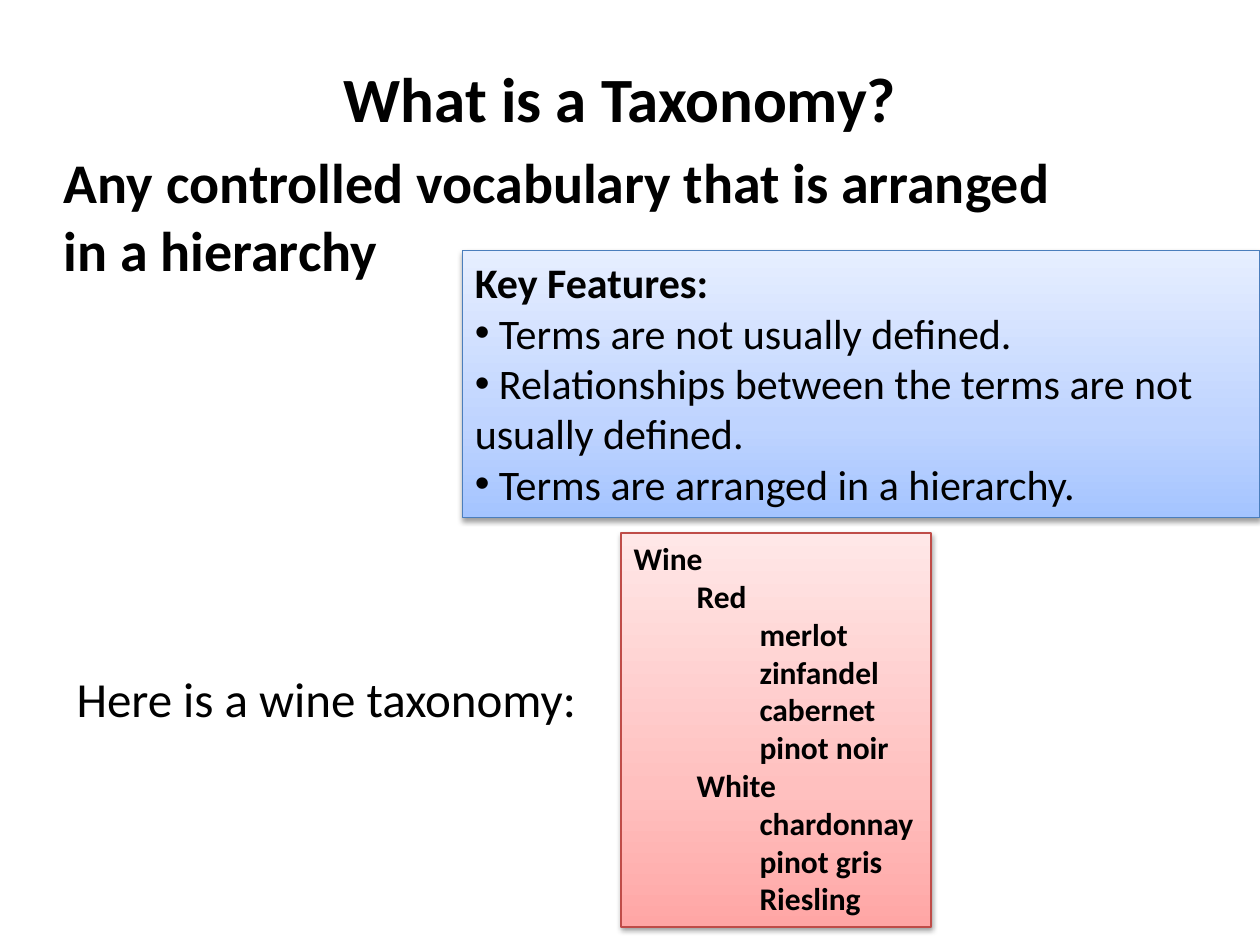
from lxml.etree import SubElement
from pptx import Presentation
from pptx.dml.color import RGBColor
from pptx.enum.shapes import MSO_SHAPE as Preset
from pptx.enum.text import MSO_ANCHOR as Anchor, PP_ALIGN as Align
from pptx.oxml.ns import qn
from pptx.util import Inches, Pt

COLORS = {
    "text": "000000",
    "shadow": "000000",
    "blue line": "4B7EBC",
    "red line": "BF4C48",
}
# Stops run from the bottom of a panel to its top
GRADIENTS = {
    "blue": ((0, "A4C4FF"), (35, "BFD4FF"), (100, "E6EEFF")),
    "red": ((0, "FFA6A5"), (35, "FFC0BF"), (100, "FFE7E7")),
}
KEY_FEATURES = (
    "Terms are not usually defined.",
    "Relationships between the terms are not usually defined.",
    "Terms are arranged in a hierarchy.",
)
WINES = {
    "Red": ("merlot", "zinfandel", "cabernet", "pinot noir"),
    "White": ("chardonnay", "pinot gris", "Riesling"),
}


class TaxonomySlide:
    font = "Calibri"
    indent = Inches(0.5)

    def __init__(self, deck):
        self.width, self.height = deck.slide_width, deck.slide_height
        self.slide = deck.slides.add_slide(deck.slide_layouts[6])

    def place(self, left, top, width, height):
        """Turn shares of the slide into lengths."""
        return (int(left * self.width), int(top * self.height),
                int(width * self.width), int(height * self.height))

    def set_lines(self, shape, lines, size):
        """Fill a shape with lines of (text, bold, level, bulleted)."""
        frame = shape.text_frame
        frame.word_wrap = True
        frame.vertical_anchor = Anchor.TOP
        frame.text = "\n".join(line[0] for line in lines)
        for paragraph, (_, bold, level, bulleted) in zip(frame.paragraphs, lines):
            paragraph.alignment = Align.LEFT
            properties = paragraph._p.get_or_add_pPr()
            properties.set("marL", str(level * self.indent))
            properties.set("indent", "0")
            if bulleted:
                SubElement(properties, qn("a:buFont"), typeface="Arial")
                SubElement(properties, qn("a:buChar"), char="•")
            for run in paragraph.runs:
                run.font.name = self.font
                run.font.size = Pt(size)
                run.font.bold = bold
                run.font.color.rgb = RGBColor.from_string(COLORS["text"])

    def label(self, text, area, size, bold=False):
        box = self.slide.shapes.add_textbox(*self.place(*area))
        self.set_lines(box, [(text, bold, 0, False)], size)

    def panel(self, hue, area, lines, size):
        box = self.slide.shapes.add_shape(Preset.RECTANGLE, *self.place(*area))
        box.line.color.rgb = RGBColor.from_string(COLORS[f"{hue} line"])
        box.line.width = Pt(0.75)
        self.shade(box, GRADIENTS[hue])
        self.cast_shadow(box)
        self.set_lines(box, lines, size)

    def shade(self, box, stops):
        box.fill.gradient()
        box.fill.gradient_angle = 90
        stop_list = box._element.spPr.find(f".//{qn('a:gsLst')}")
        for default_stop in list(stop_list):
            stop_list.remove(default_stop)
        for percent, color in stops:
            stop = SubElement(stop_list, qn("a:gs"), pos=str(percent * 1000))
            SubElement(stop, qn("a:srgbClr"), val=color)

    def cast_shadow(self, box):
        box.shadow.inherit = False
        effects = box._element.spPr.find(qn("a:effectLst"))
        shadow = SubElement(effects, qn("a:outerShdw"), blurRad=str(Pt(3.1)),
                            dist=str(Pt(1.6)), dir="5400000", rotWithShape="0")
        color = SubElement(shadow, qn("a:srgbClr"), val=COLORS["shadow"])
        SubElement(color, qn("a:alpha"), val="38000")


def main():
    deck = Presentation()
    deck.slide_width, deck.slide_height = Inches(10), Inches(7.5)
    page = TaxonomySlide(deck)

    # Definition and title
    page.label("Any controlled vocabulary that is arranged in a hierarchy",
               (0.041, 0.15, 0.814, 0.157), 32, bold=True)
    page.label("What is a Taxonomy?", (0.263, 0.056, 0.47, 0.094), 36, bold=True)

    # Key features
    features = [("Key Features:", True, 0, False)]
    features += [(f" {feature}", False, 0, True) for feature in KEY_FEATURES]
    page.panel("blue", (0.367, 0.265, 0.633, 0.283), features, 24)

    # Example taxonomy
    page.label("Here is a wine taxonomy:", (0.051, 0.701, 0.424, 0.076), 28)
    hierarchy = [("Wine", True, 0, False)]
    for kind, grapes in WINES.items():
        hierarchy.append((kind, True, 1, False))
        hierarchy += [(grape, True, 2, False) for grape in grapes]
    page.panel("red", (0.493, 0.564, 0.246, 0.417), hierarchy, 18)

    deck.save("out.pptx")


if __name__ == "__main__":
    main()
